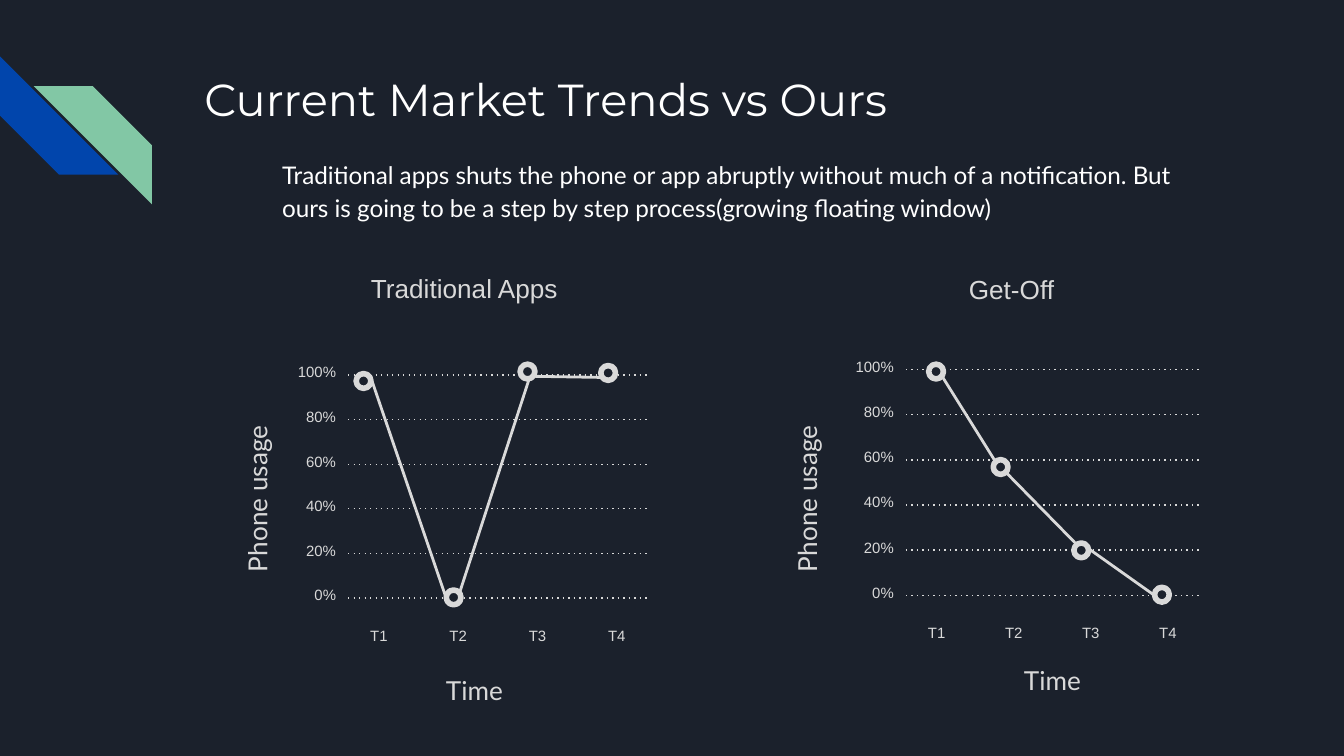
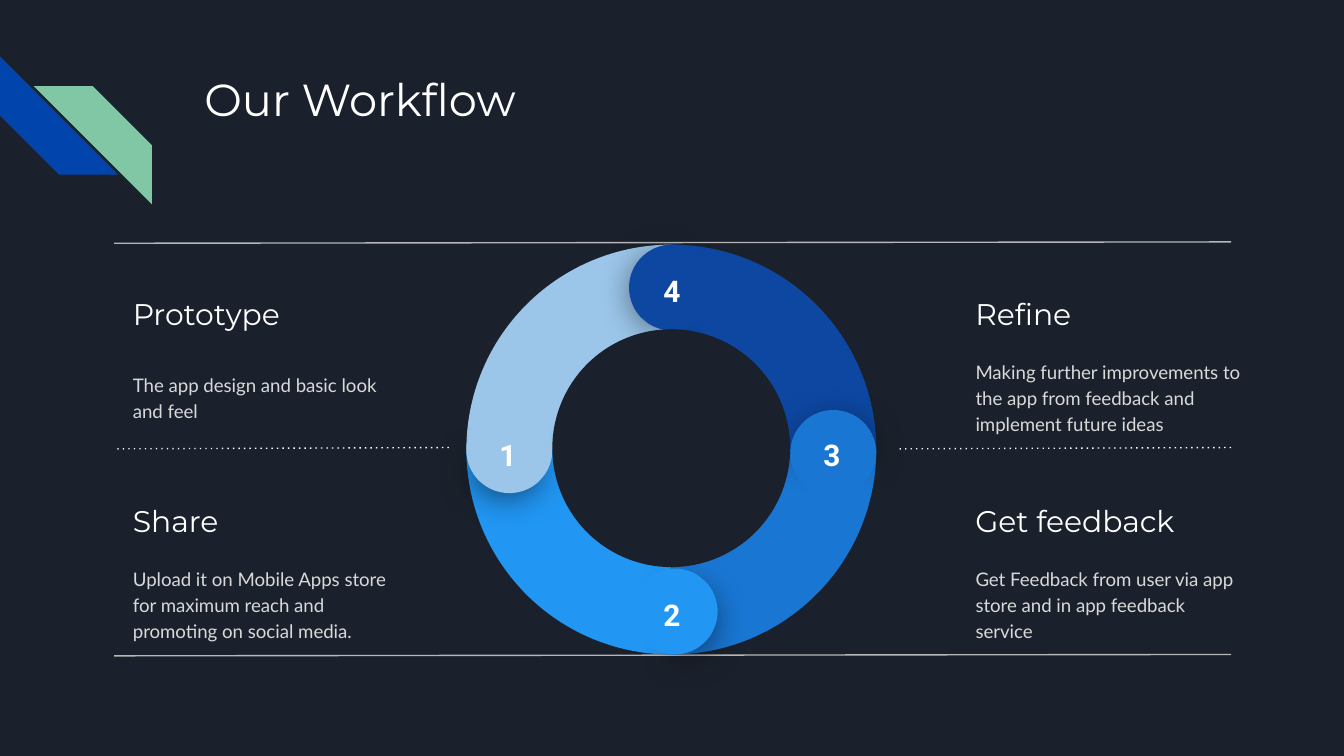
from lxml.etree import SubElement
from pptx import Presentation
from pptx.dml.color import RGBColor
from pptx.enum.shapes import MSO_CONNECTOR, MSO_SHAPE
from pptx.enum.text import MSO_ANCHOR, MSO_AUTO_SIZE, PP_ALIGN
from pptx.oxml.ns import qn
from pptx.util import Inches, Pt

BACKGROUND = "1B212C"
WHITE = "FFFFFF"
PALE = "D9D9D9"
RULE = "B7B7B7"
BLUE = "0145AC"
GREEN = "82C7A5"


def color(value):
    return RGBColor.from_string(value)


def write(frame, text, font="Lato", size=14, fill=PALE, bold=False,
          align=PP_ALIGN.LEFT, anchor=MSO_ANCHOR.TOP, spacing=None, after=0):
    """Put one formatted paragraph into a text frame."""
    frame.word_wrap = True
    frame.auto_size = MSO_AUTO_SIZE.NONE
    frame.vertical_anchor = anchor
    frame.margin_left = frame.margin_right = Inches(0.1)
    frame.margin_top = frame.margin_bottom = Inches(0.1)
    paragraph = frame.paragraphs[0]
    paragraph.alignment = align
    paragraph.line_spacing = spacing
    paragraph.space_after = Pt(after)
    run = paragraph.add_run()
    run.text = text
    run.font.name = font
    run.font.size = Pt(size)
    run.font.bold = bold
    run.font.color.rgb = color(fill)


class Deck:
    def __init__(self):
        self.presentation = Presentation()
        self.presentation.slide_width = Inches(10)
        self.presentation.slide_height = Inches(5.625)
        self.layout = self.presentation.slide_layouts[5]
        background = self.layout.background.fill
        background.solid()
        background.fore_color.rgb = color(BACKGROUND)
        self.slide = None

    def add_slide(self, title):
        first = self.slide is None
        self.slide = self.presentation.slides.add_slide(self.layout)
        if first:
            self.decorate_layout()
        placeholder = self.slide.shapes.title
        placeholder.left, placeholder.top = Inches(1.42), Inches(0.43)
        placeholder.width, placeholder.height = Inches(7.7), Inches(1)
        write(placeholder.text_frame, title, font="Montserrat", size=24, fill=WHITE)

    def decorate_layout(self):
        """Draw the corner stripes and move them to the shared layout."""
        stripe = MSO_SHAPE.DIAGONAL_STRIPE
        blue = self.shape(stripe, 0, 0.42, 0.88, BLUE, rotation=270, adjustments=[0.5])
        green = self.shape(stripe, 0.25, 0.64, 0.88, GREEN, adjustments=[0.5])
        green.element.spPr.xfrm.set("flipH", "1")
        for corner_stripe in (blue, green):
            self.layout.shapes.element.append(corner_stripe.element)

    def text(self, text, left, top, width, height, rotation=0, **style):
        box = self.slide.shapes.add_textbox(
            Inches(left), Inches(top), Inches(width), Inches(height))
        box.rotation = rotation
        write(box.text_frame, text, **style)

    def shape(self, kind, left, top, size, fill, rotation=0, adjustments=(),
              outline=None, shadow=False):
        """Add a preset shape with equal width and height."""
        shape = self.slide.shapes.add_shape(
            kind, Inches(left), Inches(top), Inches(size), Inches(size))
        shape.rotation = rotation % 360
        for index, value in enumerate(adjustments):
            shape.adjustments[index] = value
        shape.fill.solid()
        shape.fill.fore_color.rgb = color(fill)
        if outline:
            shape.line.color.rgb = color(outline)
            shape.line.width = Pt(3)
        else:
            shape.line.fill.background()
        shape.shadow.inherit = False
        if shadow:
            self.add_shadow(shape)
        return shape

    def add_shadow(self, shape):
        effects = shape.element.spPr.find(qn("a:effectLst"))
        outer = SubElement(effects, qn("a:outerShdw"), blurRad=str(Pt(18)),
                           dist=str(Pt(4)), dir="5400000", algn="bl", rotWithShape="0")
        black = SubElement(outer, qn("a:srgbClr"), val="000000")
        SubElement(black, qn("a:alpha"), val="55000")

    def line(self, start, end, stroke=PALE, width=0.75, dotted=False):
        connector = self.slide.shapes.add_connector(
            MSO_CONNECTOR.STRAIGHT, *(Inches(value) for value in (*start, *end)))
        connector.line.color.rgb = color(stroke)
        connector.line.width = Pt(width)
        properties = connector.element.spPr
        if dotted:
            SubElement(properties.find(qn("a:ln")), qn("a:prstDash"), val="dot")
        SubElement(properties, qn("a:effectLst"))

    def usage_plot(self, left, right, top, bottom, label_width, segments, dots):
        """Draw a dotted percent grid with a hand-placed usage line."""
        label = dict(font="Arial", size=8)
        time_step = (right - left - 0.46) / 3
        for index in range(4):
            self.text(f"T{index + 1}", left + index * time_step, bottom + 0.11,
                      0.46, 0.25, align=PP_ALIGN.CENTER, **label)
        for index in range(6):
            y = bottom - index * (bottom - top) / 5
            self.text(f"{index * 20}%", left + 0.01 - label_width, y - 0.19,
                      label_width, 0.25, align=PP_ALIGN.RIGHT, **label)
            self.line((left, y), (right, y), dotted=True)
        for start, end in segments:
            self.line(start, end, width=1.5)
        for x, y in dots:
            self.shape(MSO_SHAPE.OVAL, x, y, 0.11, BACKGROUND, outline=PALE)


def build_trends(deck):
    deck.add_slide("Current Market Trends vs Ours")
    deck.text("Traditional apps shuts the phone or app abruptly without much of a "
              "notification. But ours is going to be a step by step "
              "process(growing floating window)",
              2, 1.06, 7.01, 0.83, size=13, fill=WHITE, spacing=1.15, after=12)

    heading = dict(font="Arial", spacing=1.15, after=16)
    deck.text("Traditional Apps", 2.55, 1.89, 1.81, 0.42,
              align=PP_ALIGN.CENTER, **heading)
    deck.usage_plot(
        2.59, 4.82, 2.79, 4.45, 0.6,
        segments=[((3.32, 4.45), (2.77, 2.84)), ((3.42, 4.41), (3.97, 2.72)),
                  ((3.97, 2.8), (4.57, 2.81))],
        dots=[(2.65, 2.78), (3.32, 4.39), (3.87, 2.71), (4.47, 2.72)])

    deck.text("Get-Off", 7.11, 1.9, 1.29, 0.41, **heading)
    deck.usage_plot(
        6.74, 8.92, 2.75, 4.43, 0.64,
        segments=[((7.41, 3.44), (7.01, 2.8)), ((7.49, 3.52), (8.01, 4.05)),
                  ((8.11, 4.09), (8.59, 4.43))],
        dots=[(6.91, 2.71), (7.39, 3.42), (7.99, 4.04), (8.59, 4.37)])

    deck.text("Phone usage", 1.21, 3.43, 1.41, 0.44, rotation=270)
    deck.text("Phone usage", 5.12, 3.25, 1.77, 0.44, rotation=270)
    deck.text("Time", 7.52, 4.84, 0.75, 0.44)
    deck.text("Time", 3.22, 4.92, 0.66, 0.44)


def build_workflow(deck):
    deck.add_slide("Our Workflow")
    stages = [
        (0.89, 2.09, "Prototype", "The app design and basic look and feel"),
        (0.89, 3.63, "Share", "Upload it on Mobile Apps store for maximum reach and "
                              "promoting on social media."),
        (7.16, 2.09, "Refine", "Making further improvements to the app from feedback "
                               "and implement future ideas"),
        (7.16, 3.63, "Get feedback", "Get Feedback from user via app store and in app "
                                     "feedback service"),
    ]
    for left, top, name, description in stages:
        deck.text(name, left, top, 2.03, 0.49, font="Montserrat", size=16,
                  fill=WHITE, anchor=MSO_ANCHOR.MIDDLE)
        deck.text(description, left, top + 0.48, 2.18, 0.76, size=10,
                  anchor=MSO_ANCHOR.MIDDLE, spacing=1.15, after=16)

    for y in (1.8, 4.87):
        deck.line((9.16, y), (0.85, y + 0.01), stroke=RULE)
    for left in (0.85, 6.67):
        deck.line((left + 2.49, 3.33), (left, 3.34), stroke=WHITE, dotted=True)

    # Colour, then the corners of the shadowed cap, its cover and its number.
    steps = [
        ("9BC5E9", (3.48, 3.07), (3.47, 3.03), (3.5, 3.15)),
        ("2196F3", (4.74, 4.28), (4.7, 4.23), (4.72, 4.34)),
        ("1976D2", (5.93, 3.07), (5.88, 3.05), (5.91, 3.15)),
        ("0D47A1", (4.7, 1.83), (4.68, 1.82), (4.72, 1.93)),
    ]
    for index, (fill, *_) in enumerate(steps):
        deck.shape(MSO_SHAPE.PIE, 3.47, 1.82, 3.05, fill, rotation=-90 * index,
                   adjustments=[107.957, 162.013])
    for index, (fill, cap, cover, number) in enumerate(steps):
        turn = -90 * index
        deck.shape(MSO_SHAPE.PIE, *cap, 0.57, fill, rotation=39.5 + turn,
                   adjustments=[189.535, 83.81], shadow=True)
        deck.shape(MSO_SHAPE.CHORD, *cover, 0.64, fill, rotation=4.1 + turn,
                   adjustments=[25.006, 18.12])
        deck.text(str(index + 1), *number, 0.56, 0.29, font="Roboto", size=16,
                  fill=WHITE, bold=True, align=PP_ALIGN.CENTER)
    deck.shape(MSO_SHAPE.OVAL, 4.11, 2.45, 1.77, BACKGROUND)


def main():
    deck = Deck()
    build_trends(deck)
    build_workflow(deck)
    deck.presentation.save("out.pptx")


if __name__ == "__main__":
    main()
